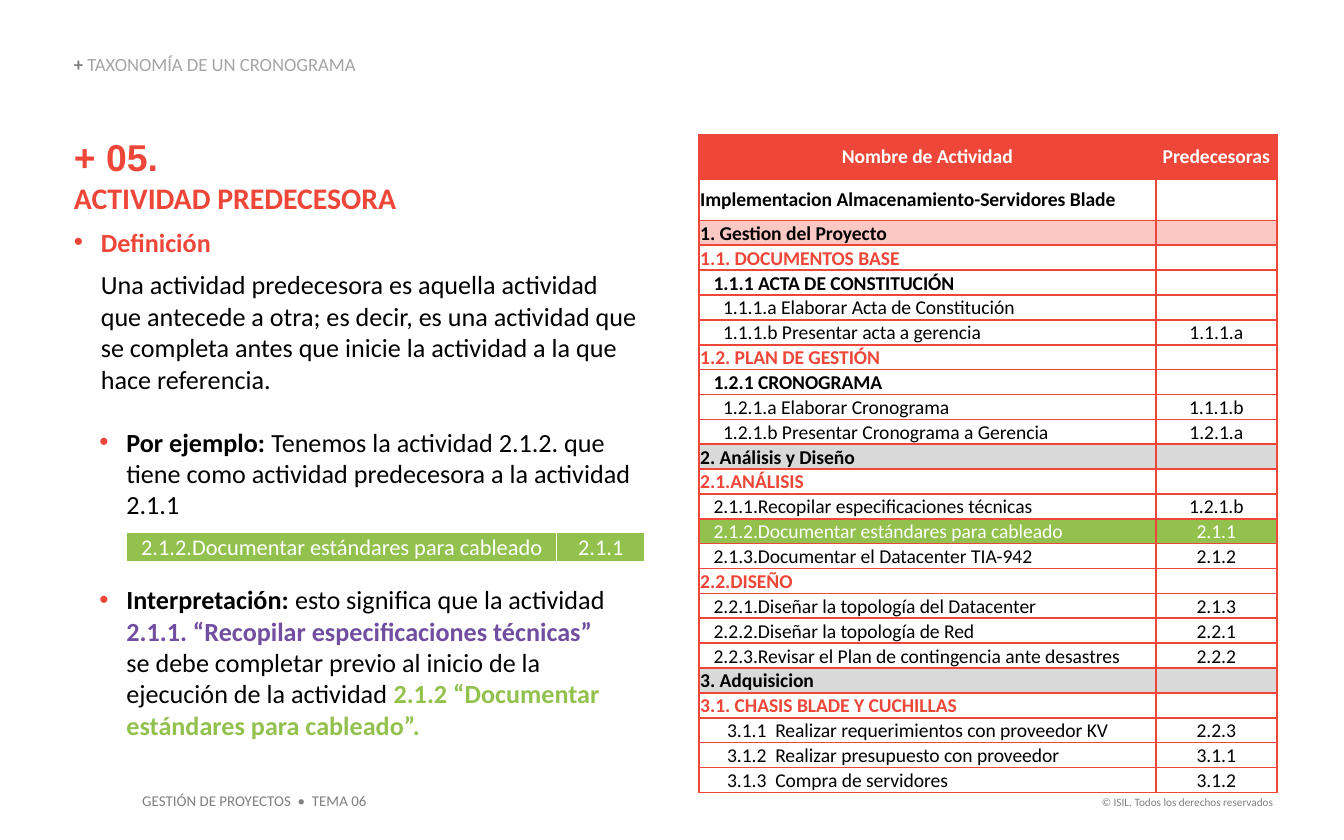
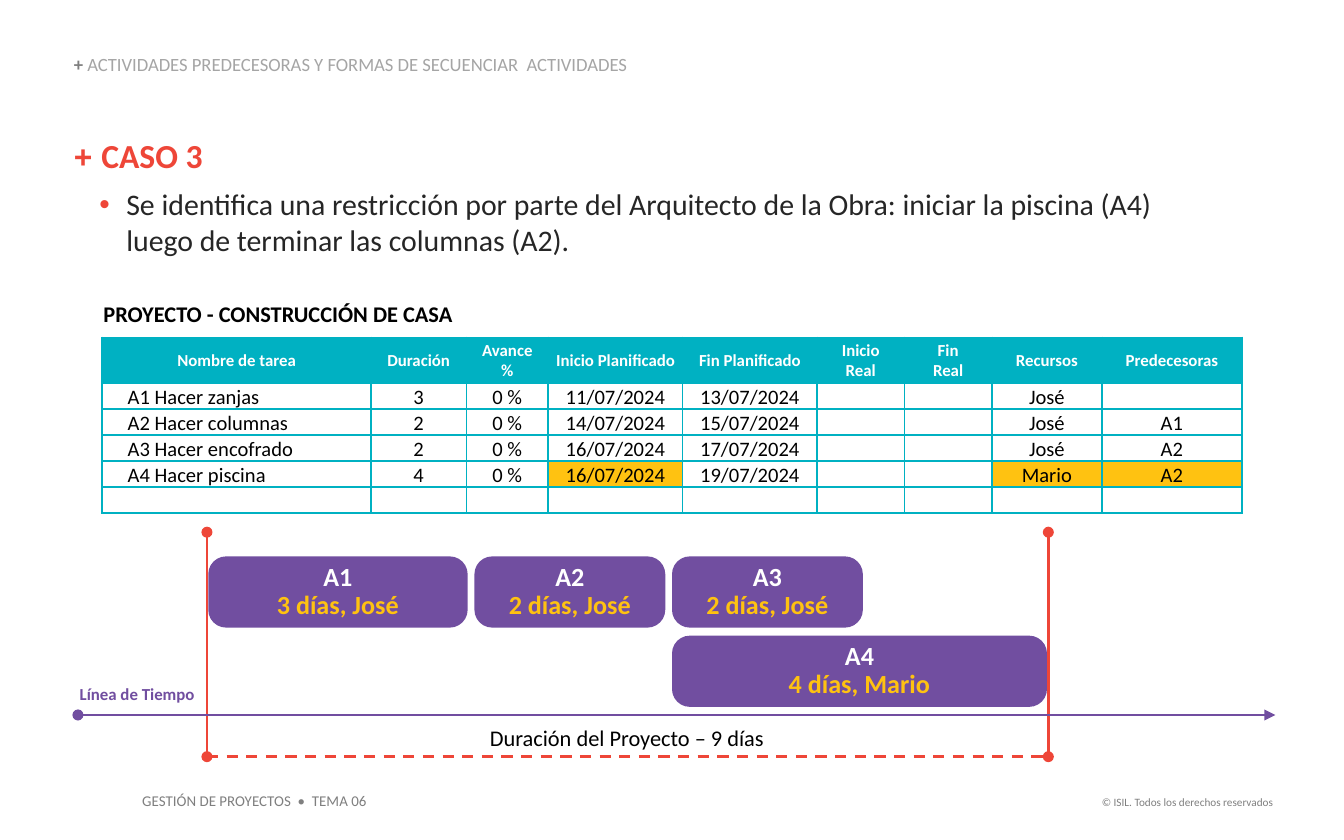
from dataclasses import dataclass

from lxml import etree
from pptx import Presentation
from pptx.dml.color import RGBColor
from pptx.enum.dml import MSO_LINE_DASH_STYLE as Dash
from pptx.enum.shapes import MSO_CONNECTOR as Connector, MSO_SHAPE as Shape
from pptx.enum.text import MSO_ANCHOR as Anchor, PP_ALIGN as Align
from pptx.oxml.ns import qn
from pptx.util import Inches, Pt


@dataclass(frozen=True)
class Theme:
    red: str = "EE4638"
    pink: str = "FBC8C4"
    teal: str = "00B1C2"
    purple: str = "714EA0"
    green: str = "92C14E"
    yellow: str = "FFC211"
    black: str = "000000"
    ink: str = "262626"
    gray: str = "7F7F7F"
    silver: str = "A5A5A5"
    light: str = "D9D9D9"
    white: str = "FFFFFF"
    heading: float = 16
    body: float = 14
    small: float = 12
    cell: float = 10.5


T = Theme()


@dataclass(frozen=True)
class Style:
    size: float
    color: str = T.black
    bold: bool = False
    name: str = "Calibri"


# ---- Content: slide 1 ----
PLAIN = Style(T.body)
STRONG = Style(T.body, bold=True)
TITLE = Style(T.heading, T.red, True)
BULLET = {"bullet": True, "left": 0.39, "hanging": 0.2}

DEFINITION = [
    ([("+ 05.\n", Style(20, T.red, True, "Arial")), ("ACTIVIDAD PREDECESORA", TITLE)], {}),
    ([("Definición", Style(T.body, T.red, True))],
     {"bullet": True, "left": 0.2, "hanging": 0.2, "before": 6}),
    ([("Una actividad predecesora es aquella actividad que antecede a otra; es decir, es una "
       "actividad que se completa antes que inicie la actividad a la que hace referencia.", PLAIN)],
     {"left": 0.2, "before": 6}),
    ([("Por ejemplo:", STRONG),
      (" Tenemos la actividad 2.1.2. que tiene como actividad predecesora a la actividad 2.1.1",
       PLAIN)], {**BULLET, "before": 17}),
    ([("Interpretación: ", STRONG),
      ("esto significa que la actividad \n", PLAIN),
      ("2.1.1. “Recopilar especificaciones técnicas” \n", Style(T.body, T.purple, True)),
      ("se debe completar previo al inicio de la ejecución de la actividad ", PLAIN),
      ("2.1.2 “Documentar estándares para cableado”.", Style(T.body, T.green, True))],
     {**BULLET, "before": 34}),
]

# kind: (text style, indent, fill)
ROW_KINDS = {
    "header": (Style(T.cell, T.white, True), 0, T.red),
    "project": (Style(T.cell, bold=True), 0, None),
    "first phase": (Style(T.cell, bold=True), 0, T.pink),
    "phase": (Style(T.cell, bold=True), 0, T.light),
    "section": (Style(T.cell, T.red, True), 0, None),
    "package": (Style(T.cell, bold=True), 0.1, None),
    "task": (Style(T.cell), 0.1, None),
    "subtask": (Style(T.cell), 0.17, None),
    "purchase": (Style(T.cell), 0.2, None),
    "example": (Style(T.cell, T.white), 0.1, T.green),
}
EXAMPLE = ("2.1.2.Documentar estándares para cableado", "2.1.1")
ACTIVITIES = [
    ("header", "Nombre de Actividad", "Predecesoras"),
    ("project", "Implementacion Almacenamiento-Servidores Blade", ""),
    ("first phase", "1. Gestion del Proyecto", ""),
    ("section", "1.1. DOCUMENTOS BASE", ""),
    ("package", "1.1.1 ACTA DE CONSTITUCIÓN", ""),
    ("subtask", "1.1.1.a Elaborar Acta de Constitución", ""),
    ("subtask", "1.1.1.b Presentar acta a gerencia", "1.1.1.a"),
    ("section", "1.2. PLAN DE GESTIÓN", ""),
    ("package", "1.2.1 CRONOGRAMA", ""),
    ("subtask", "1.2.1.a Elaborar Cronograma", "1.1.1.b"),
    ("subtask", "1.2.1.b Presentar Cronograma a Gerencia", "1.2.1.a"),
    ("phase", "2. Análisis y Diseño", ""),
    ("section", "2.1.ANÁLISIS", ""),
    ("task", "2.1.1.Recopilar especificaciones técnicas", "1.2.1.b"),
    ("example", *EXAMPLE),
    ("task", "2.1.3.Documentar el Datacenter TIA-942", "2.1.2"),
    ("section", "2.2.DISEÑO", ""),
    ("task", "2.2.1.Diseñar la topología del Datacenter", "2.1.3"),
    ("task", "2.2.2.Diseñar la topología de Red", "2.2.1"),
    ("task", "2.2.3.Revisar el Plan de contingencia ante desastres", "2.2.2"),
    ("phase", "3. Adquisicion", ""),
    ("section", "3.1. CHASIS BLADE Y CUCHILLAS", ""),
    ("purchase", "3.1.1  Realizar requerimientos con proveedor KV", "2.2.3"),
    ("purchase", "3.1.2  Realizar presupuesto con proveedor", "3.1.1"),
    ("purchase", "3.1.3  Compra de servidores", "3.1.2"),
]

# ---- Content: slide 2 ----
CASE = [
    ([("+ ", Style(17, T.red, True, "Arial")), ("CASO 3", Style(18, T.red, True))], {}),
    ([("Se identifica una restricción por parte del Arquitecto de la Obra: iniciar la piscina (A4) "
       "luego de terminar las columnas (A2).", Style(T.heading, T.ink))],
     {**BULLET, "before": 6, "after": 6}),
]
PLAN_TITLE = "PROYECTO - CONSTRUCCIÓN DE CASA"
PLAN_HEADER = ["Nombre de tarea", "Duración", "Avance\n%", "Inicio Planificado",
               "Fin Planificado", "Inicio\nReal", "Fin\nReal", "Recursos", "Predecesoras"]
PLAN = [
    ["A1 Hacer zanjas", "3", "0 %", "11/07/2024", "13/07/2024", "", "", "José", ""],
    ["A2 Hacer columnas", "2", "0 %", "14/07/2024", "15/07/2024", "", "", "José", "A1"],
    ["A3 Hacer encofrado", "2", "0 %", "16/07/2024", "17/07/2024", "", "", "José", "A2"],
    ["A4 Hacer piscina", "4", "0 %", "16/07/2024", "19/07/2024", "", "", "Mario", "A2"],
    [""] * 9,
]
PLAN_WIDTHS = [2, 0.71, 0.61, 1, 1, 0.65, 0.65, 0.82, 1.04]
CHANGED = {(3, 3), (3, 7), (3, 8)}
# task, caption, predecessor, lane, width
BARS = [
    ("A1", "3 días, José", None, 0, 1.93),
    ("A2", "2 días, José", "A1", 0, 1.42),
    ("A3", "2 días, José", "A2", 0, 1.42),
    ("A4", "4 días, Mario", "A2", 1, 2.79),
]


# ---- Text helpers ----
def set_font(font, style):
    font.size, font.bold, font.name = Pt(style.size), style.bold, style.name
    font.color.rgb = RGBColor.from_string(style.color)


def write(paragraph, runs, align=Align.LEFT, spacing=None, before=None, after=None,
          bullet=False, left=0, hanging=0):
    paragraph.alignment = align
    if spacing:
        paragraph.line_spacing = spacing
    if before:
        paragraph.space_before = Pt(before)
    if after:
        paragraph.space_after = Pt(after)
    properties = paragraph._p.get_or_add_pPr()
    if left:
        properties.set("marL", str(Inches(left)))
        properties.set("indent", str(-Inches(hanging)))
    if bullet:
        color = etree.SubElement(properties, qn("a:buClr"))
        etree.SubElement(color, qn("a:srgbClr"), val=T.red)
        etree.SubElement(properties, qn("a:buFont"), typeface="Arial")
        etree.SubElement(properties, qn("a:buChar"), char="•")
    uniform = len({style for _, style in runs}) == 1
    if uniform:
        set_font(paragraph.font, runs[0][1])
    for text, style in runs:
        for index, line in enumerate(text.split("\n")):
            if index:
                paragraph.add_line_break()
            if line:
                run = paragraph.add_run()
                run.text = line
                if not uniform:
                    set_font(run.font, style)


def write_all(frame, paragraphs):
    for index, (runs, options) in enumerate(paragraphs):
        paragraph = frame.add_paragraph() if index else frame.paragraphs[0]
        write(paragraph, runs, **options)


def add_text(slide, box, paragraphs, inset=(0, 0), anchor=Anchor.TOP):
    frame = slide.shapes.add_textbox(*map(Inches, box)).text_frame
    frame.word_wrap, frame.vertical_anchor = True, anchor
    frame.margin_left = frame.margin_right = Inches(inset[0])
    frame.margin_top = frame.margin_bottom = Inches(inset[1])
    write_all(frame, paragraphs)


# ---- Table helpers ----
def add_table(slide, left, top, widths, heights):
    frame = slide.shapes.add_table(len(heights), len(widths), Inches(left), Inches(top),
                                   Inches(sum(widths)), Inches(sum(heights)))
    table = frame.table
    table.first_row = table.horz_banding = False
    for column, width in zip(table.columns, widths):
        column.width = Inches(width)
    for row, height in zip(table.rows, heights):
        row.height = Inches(height)
    return table


def fill_cell(cell, text, style, border, fill=None, align=Align.LEFT, indent=0, edges="LRTB"):
    cell.vertical_anchor = Anchor.MIDDLE
    cell.margin_left = Inches(0.01 + indent)
    cell.margin_right = cell.margin_top = Inches(0.01)
    cell.margin_bottom = 0
    properties = cell._tc.get_or_add_tcPr()
    for edge in "LRTB":
        line = etree.SubElement(properties, qn(f"a:ln{edge}"), w=str(Pt(1)))
        if edge in edges:
            solid = etree.SubElement(line, qn("a:solidFill"))
            etree.SubElement(solid, qn("a:srgbClr"), val=border)
        else:
            etree.SubElement(line, qn("a:noFill"))
    if fill:
        cell.fill.solid()
        cell.fill.fore_color.rgb = RGBColor.from_string(fill)
    else:
        cell.fill.background()
    paragraph = cell.text_frame.paragraphs[0]
    write(paragraph, [(text, style)], align)
    if not text:
        etree.SubElement(paragraph._p, qn("a:endParaRPr"), sz=str(int(style.size * 100)))


# ---- Shape helpers ----
def add_line(slide, start, end, color, head=None, tail=None, dash=None):
    connector = slide.shapes.add_connector(Connector.STRAIGHT, *map(Inches, (*start, *end)))
    connector.line.width = Pt(1.5)
    connector.line.color.rgb = RGBColor.from_string(color)
    if dash:
        connector.line.dash_style = dash
    outline = connector.line._get_or_add_ln()
    for tag, kind in (("a:headEnd", head), ("a:tailEnd", tail)):
        if kind:
            etree.SubElement(outline, qn(tag), type=kind)
    etree.SubElement(connector._element.spPr, qn("a:effectLst"))


def add_bar(slide, box, task, caption):
    bar = slide.shapes.add_shape(Shape.ROUNDED_RECTANGLE, *map(Inches, box))
    bar.adjustments[0] = 0.25
    bar.shadow.inherit = False
    bar.fill.solid()
    bar.fill.fore_color.rgb = RGBColor.from_string(T.purple)
    bar.line.fill.background()
    bar.text_frame.vertical_anchor = Anchor.MIDDLE
    layout = {"align": Align.CENTER, "spacing": 0.9}
    write_all(bar.text_frame, [([(task, Style(T.body, T.white, True))], layout),
                               ([(caption, Style(T.body, T.yellow, True))], layout)])


def add_page(presentation, header, header_width):
    """Blank slide with the shared header and footers."""
    slide = presentation.slides.add_slide(presentation.slide_layouts[6])
    add_text(slide, (7.91, 5.87, 1.66, 0.2),
             [([("© ISIL. Todos los derechos reservados", Style(6, T.gray))],
               {"align": Align.RIGHT})], (0.1, 0.05))
    add_text(slide, (0.96, 5.84, 1.87, 0.24),
             [([("GESTIÓN DE PROYECTOS  •  TEMA 06", Style(8, T.gray))], {})], (0.1, 0.05))
    add_text(slide, (0.55, 0.41, header_width, 0.15),
             [([("+ ", Style(10, T.gray, True)), (header, Style(10, T.silver))],
               {"spacing": 0.9})], anchor=Anchor.BOTTOM)
    return slide


def build_predecessor(presentation):
    slide = add_page(presentation, "TAXONOMÍA DE UN CRONOGRAMA", 2.66)
    add_text(slide, (0.55, 1, 4.25, 4.54), DEFINITION)

    heights = [0.33, 0.31] + [0.18] * (len(ACTIVITIES) - 2)
    table = add_table(slide, 5.2, 1, [3.4, 0.9], heights)
    for row, (kind, name, predecessor) in enumerate(ACTIVITIES):
        style, indent, fill = ROW_KINDS[kind]
        align = Align.CENTER if kind == "header" else Align.LEFT
        fill_cell(table.cell(row, 0), name, style, T.red, fill, align, indent)
        fill_cell(table.cell(row, 1), predecessor, style, T.red, fill, Align.CENTER)

    sample = add_table(slide, 0.94, 3.96, [3.2, 0.66], [0.22])
    for column, (text, align, indent) in enumerate(
            zip(EXAMPLE, (Align.LEFT, Align.CENTER), (0.1, 0))):
        fill_cell(sample.cell(0, column), text, Style(T.small, T.white), T.white, T.green,
                  align, indent)


def build_case(presentation):
    slide = add_page(presentation,
                     "ACTIVIDADES PREDECESORAS Y FORMAS DE SECUENCIAR  ACTIVIDADES", 4.54)
    add_text(slide, (0.55, 1, 8.55, 1.01), CASE)

    # Plan table
    table = add_table(slide, 0.76, 2.16, PLAN_WIDTHS, [0.35, 0.34] + [0.19] * len(PLAN))
    table.cell(0, 0).merge(table.cell(0, len(PLAN_WIDTHS) - 1))
    for column, label in enumerate(PLAN_HEADER):
        fill_cell(table.cell(0, column), "" if column else PLAN_TITLE,
                  Style(T.small, bold=True), T.teal, edges="B")
        fill_cell(table.cell(1, column), label, Style(9, T.white, True), T.teal, T.teal,
                  Align.CENTER)
        for row, values in enumerate(PLAN):
            fill_cell(table.cell(row + 2, column), values[column], Style(11), T.teal,
                      T.yellow if (row, column) in CHANGED else None,
                      Align.CENTER if column else Align.LEFT, 0 if column else 0.18)

    # Task bars, each starting after its predecessor
    start, gap, height = 1.55, 0.05, 0.53
    ends = {None: start - gap}
    for task, caption, predecessor, lane, width in BARS:
        left = ends[predecessor] + gap
        ends[task] = left + width
        add_bar(slide, (left, 4.14 + lane * 0.59, width, height), task, caption)

    # Timeline and project span
    first, last, top, bottom = 1.54, 7.8, 3.96, 5.63
    add_line(slide, (first, bottom), (last, bottom), T.red, dash=Dash.DASH)
    for x in (first, last):
        add_line(slide, (x, top), (x, bottom), T.red, "oval", "oval")
    add_line(slide, (0.58, 5.32), (9.49, 5.32), T.purple, "oval", "triangle")
    centered = {"align": Align.CENTER}
    add_text(slide, (0.58, 5.09, 0.88, 0.16),
             [([("Línea de Tiempo", Style(9, T.purple, True))], centered)])
    add_text(slide, (2.97, 5.34, 3.39, 0.3),
             [([("Duración del Proyecto – 9 días", Style(T.small))], centered)], (0.1, 0.05))


def main():
    presentation = Presentation()
    presentation.slide_width, presentation.slide_height = Inches(10), Inches(6.25)
    build_predecessor(presentation)
    build_case(presentation)
    presentation.save("out.pptx")


if __name__ == "__main__":
    main()
